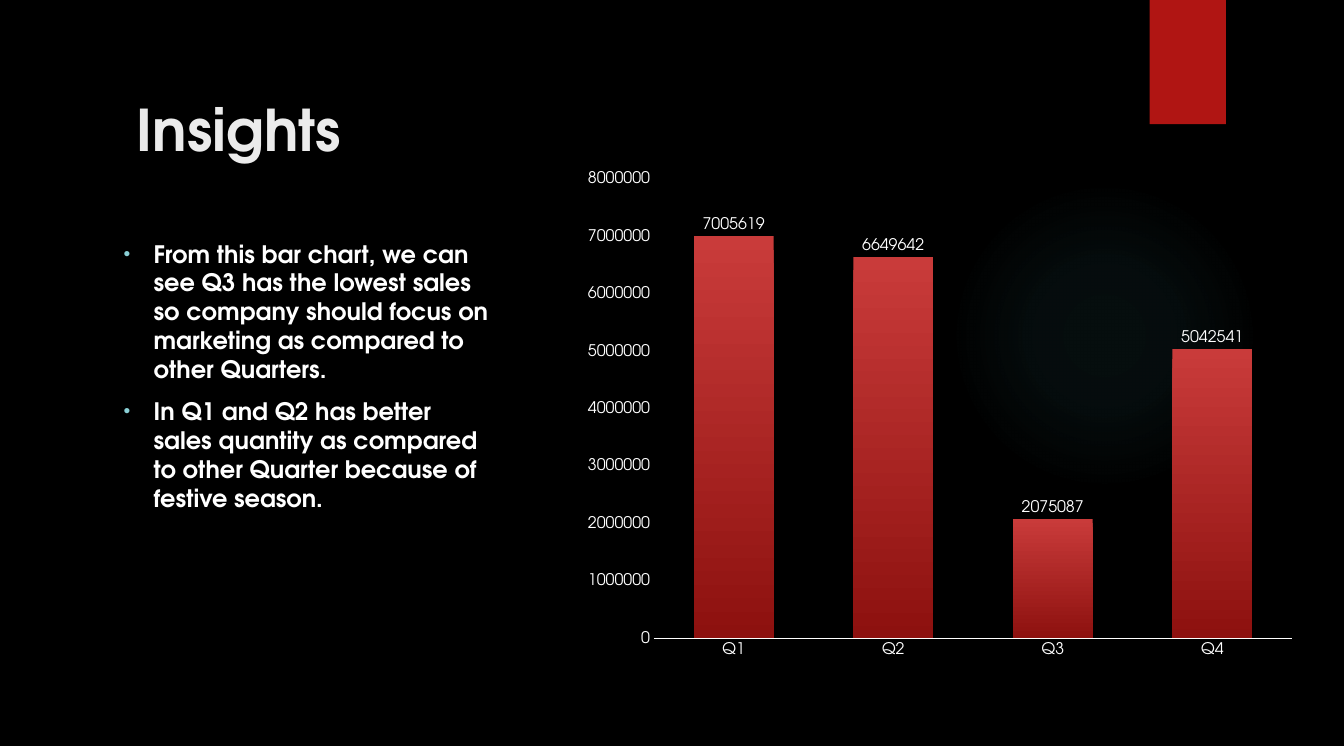
from lxml import etree
from pptx import Presentation
from pptx import util as u
from pptx.chart.data import CategoryChartData
from pptx.dml.color import RGBColor
from pptx.enum import chart as ch, shapes, text
from pptx.oxml import ns, parse_xml

TITLE = "Insights"
INSIGHTS = [
    "From this bar chart, we can see Q3 has the lowest sales so company "
    "should focus on marketing as compared to other Quarters.",
    "In Q1 and Q2 has better sales quantity as compared to other Quarter "
    "because of festive season.",
]
SALES = {"Q1": 7005619, "Q2": 6649642, "Q3": 2075087, "Q4": 5042541}
SALES_TOP, SALES_STEP = 8000000, 1000000

FONT = "TeX Gyre Adventor"
BLACK = RGBColor(0x00, 0x00, 0x00)
WHITE = RGBColor(0xFF, 0xFF, 0xFF)
PALE = RGBColor(0xEB, 0xEB, 0xEB)
RED = RGBColor(0xB0, 0x15, 0x13)
BAR_TOP = RGBColor(0xC9, 0x3B, 0x3A)
BAR_FOOT = RGBColor(0x8D, 0x11, 0x0F)
TEAL = RGBColor(0x50, 0xB9, 0xC1)
BULLET = RGBColor(0x8A, 0xD0, 0xD6)

# left, top, width, height in px
SLIDE_SIZE = (1342, 745)
GLOW_BOX = (948, 182, 310, 306)
RIBBON_BOX = (1148, 0, 76, 124)
TITLE_BOX = (127, 12, 374, 155)
INSIGHTS_BOX = (114, 234, 387, 348)
CHART_BOX = (564, 169, 741, 504)
PLOT = {"x": 0.12, "y": 0.02, "w": 0.86, "h": 0.91}  # shares of the chart
INDENT = 30

# position %, colour, opacity %
GLOW_STOPS = [(0, TEAL, 7), (36, TEAL, 6), (69, TEAL, 0)]
BAR_STOPS = [(0, BAR_TOP, 100), (100, BAR_FOOT, 100)]
RADIAL = ('<a:path path="circle"><a:fillToRect l="50000" t="50000" '
          'r="50000" b="50000"/></a:path>')
DOWNWARD = '<a:lin ang="5400000" scaled="0"/>'


def px(n):
    return u.Emu(n * 9525)


def place(box):
    return [px(n) for n in box]


def style(font, size, color, bold=False):
    font.name, font.size, font.bold = FONT, u.Pt(size), bold
    font.color.rgb = color


def fill_gradient(fill, properties, stops, direction):
    """Put a gradient with opacities in the place of a solid fill."""
    fill.solid()
    solid = properties.find(ns.qn("a:solidFill"))
    marks = "".join(
        f'<a:gs pos="{pos * 1000}"><a:srgbClr val="{color}">'
        f'<a:alpha val="{opacity * 1000}"/></a:srgbClr></a:gs>'
        for pos, color, opacity in stops)
    properties.replace(solid, parse_xml(
        f'<a:gradFill {ns.nsdecls("a")} rotWithShape="1">'
        f'<a:gsLst>{marks}</a:gsLst>{direction}</a:gradFill>'))


def add_plain_shape(slide, kind, box):
    shape = slide.shapes.add_shape(kind, *place(box))
    shape.shadow.inherit = False
    shape.line.fill.background()
    return shape


def add_text(slide, box, anchor):
    frame = slide.shapes.add_textbox(*place(box)).text_frame
    frame.word_wrap = True
    frame.vertical_anchor = anchor
    return frame


def add_bullet(paragraph):
    properties = paragraph._p.get_or_add_pPr()
    properties.set("marL", str(px(INDENT)))
    properties.set("indent", str(-px(INDENT)))
    color = etree.SubElement(properties, ns.qn("a:buClr"))
    etree.SubElement(color, ns.qn("a:srgbClr"), val=str(BULLET))
    etree.SubElement(properties, ns.qn("a:buSzPct"), val="80000")
    etree.SubElement(properties, ns.qn("a:buFont"), typeface="Arial")
    etree.SubElement(properties, ns.qn("a:buChar"), char="•")


def fix_plot_area(chart):
    """Pin the inner plot area to the shares in PLOT."""
    area = chart._chartSpace.chart.plotArea
    for old in area.findall(ns.qn("c:layout")):
        area.remove(old)
    layout = etree.Element(ns.qn("c:layout"))
    manual = etree.SubElement(layout, ns.qn("c:manualLayout"))
    etree.SubElement(manual, ns.qn("c:layoutTarget"), val="inner")
    for side in "xy":
        etree.SubElement(manual, ns.qn(f"c:{side}Mode"), val="edge")
    for side, share in PLOT.items():
        etree.SubElement(manual, ns.qn(f"c:{side}"), val=str(share))
    area.insert(0, layout)


def add_sales_chart(slide):
    data = CategoryChartData(number_format="General")
    data.categories = list(SALES)
    data.add_series("Series 1", list(SALES.values()))
    chart = slide.shapes.add_chart(
        ch.XL_CHART_TYPE.COLUMN_CLUSTERED, *place(CHART_BOX), data).chart
    chart.has_legend = chart.has_title = False
    style(chart.font, 10, WHITE)
    fix_plot_area(chart)

    quarters, amounts = chart.category_axis, chart.value_axis
    for axis in (quarters, amounts):
        axis.has_major_gridlines = False
        axis.major_tick_mark = axis.minor_tick_mark = ch.XL_TICK_MARK.NONE
        style(axis.tick_labels.font, 12, WHITE)
    quarters.format.line.color.rgb = WHITE
    quarters.format.line.width = u.Pt(1)
    amounts.format.line.fill.background()
    amounts.minimum_scale, amounts.maximum_scale = 0, SALES_TOP
    amounts.major_unit = SALES_STEP

    plot = chart.plots[0]
    plot.gap_width, plot.overlap = 100, -24
    plot.vary_by_categories = False
    bars = plot.series[0]
    fill_gradient(bars.format.fill, bars._element.get_or_add_spPr(),
                  BAR_STOPS, DOWNWARD)
    labels = bars.data_labels
    labels.show_value = True
    labels.position = ch.XL_LABEL_POSITION.OUTSIDE_END
    style(labels.font, 12, WHITE)


def main():
    deck = Presentation()
    deck.slide_width, deck.slide_height = place(SLIDE_SIZE)
    slide = deck.slides.add_slide(deck.slide_layouts[6])
    slide.background.fill.solid()
    slide.background.fill.fore_color.rgb = BLACK

    glow = add_plain_shape(slide, shapes.MSO_SHAPE.OVAL, GLOW_BOX)
    fill_gradient(glow.fill, glow._element.spPr, GLOW_STOPS, RADIAL)
    ribbon = add_plain_shape(slide, shapes.MSO_SHAPE.RECTANGLE, RIBBON_BOX)
    ribbon.fill.solid()
    ribbon.fill.fore_color.rgb = RED

    heading = add_text(slide, TITLE_BOX, text.MSO_ANCHOR.BOTTOM)
    run = heading.paragraphs[0].add_run()
    run.text = TITLE
    style(run.font, 43, PALE, bold=True)

    insights = add_text(slide, INSIGHTS_BOX, text.MSO_ANCHOR.TOP)
    for i, insight in enumerate(INSIGHTS):
        paragraph = insights.add_paragraph() if i else insights.paragraphs[0]
        add_bullet(paragraph)
        if i:
            paragraph.space_before = u.Pt(10.3)
        run = paragraph.add_run()
        run.text = insight
        style(run.font, 18, WHITE, bold=True)

    add_sales_chart(slide)
    deck.save("out.pptx")


if __name__ == "__main__":
    main()
